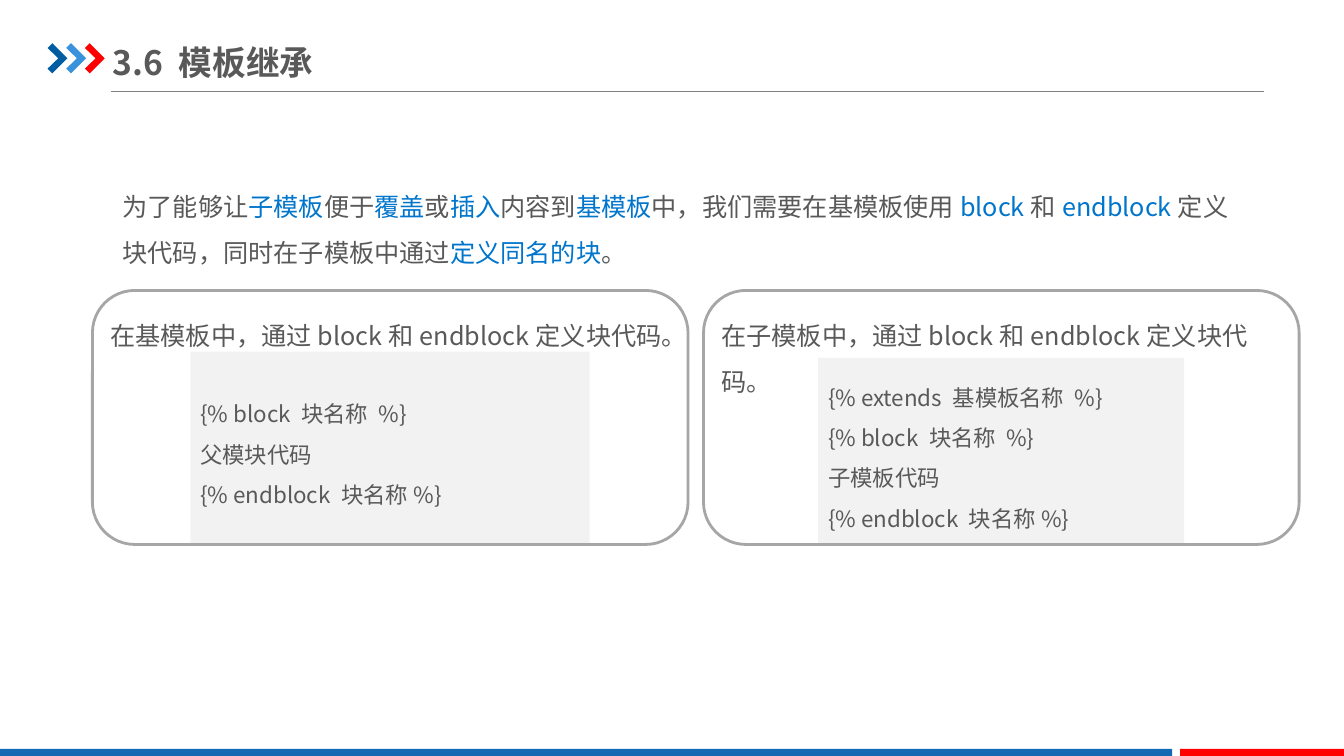
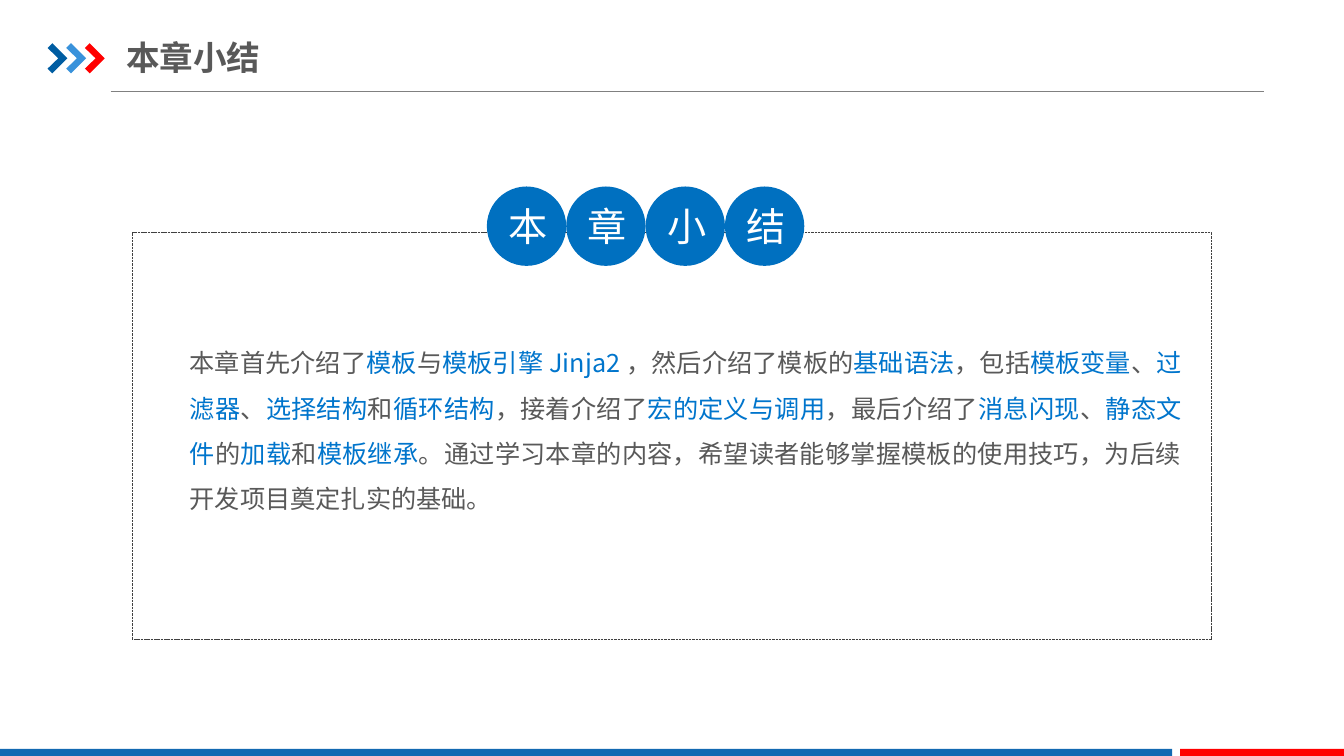
from dataclasses import dataclass

from lxml import etree
from pptx import Presentation
from pptx import util as u
from pptx.dml import color
from pptx.enum import dml, shapes, text
from pptx.oxml import ns


@dataclass(frozen=True)
class Theme:
    font: str = "Noto Sans CJK SC"
    ink: str = "595959"
    accent: str = "0075CC"
    white: str = "FFFFFF"
    rule: str = "808080"
    code_fill: str = "F2F2F2"
    card_line: str = "A6A6A6"
    frame_line: str = "404040"
    badge: str = "0070C0"
    band: str = "1369B2"
    red: str = "FF0000"
    chevrons: tuple = ("005DA2", "3992DB", "FF0000")
    title_size: int = 24
    body_size: int = 18
    code_size: int = 16
    badge_size: int = 28


def rgb(value):
    return color.RGBColor.from_string(value)


class SlideBuilder:
    def __init__(self, theme):
        self.theme = theme
        self.deck = Presentation()
        self.deck.slide_width = u.Cm(33.87)
        self.deck.slide_height = u.Cm(19.05)
        self.slide = None

    # Slide frame: rule, chevrons, footer bands, title
    def new_slide(self, title, left, top, width):
        theme = self.theme
        self.slide = self.deck.slides.add_slide(self.deck.slide_layouts[6])
        self.rule(2.79, 31.85, 2.31)
        for index, fill in enumerate(theme.chevrons):
            self.chevron(1.2 + 0.47 * index, 1.09, fill)
        self.shape("RECTANGLE", (0, 18.87, 29.54, 0.18), fill=theme.band)
        self.shape("RECTANGLE", (29.74, 18.87, 4.13, 0.18), fill=theme.red)
        self.text_box([title], (left, top, width, 1.4), theme.title_size,
                      insets=(0, 0.18), bold=True, spacing=1,
                      anchor=text.MSO_ANCHOR.MIDDLE)

    def rule(self, left, right, top):
        line = self.slide.shapes.add_connector(
            shapes.MSO_CONNECTOR.STRAIGHT,
            u.Cm(left), u.Cm(top), u.Cm(right), u.Cm(top))
        line.line.color.rgb = rgb(self.theme.rule)
        line.line.width = u.Pt(0.75)
        etree.SubElement(line._element.spPr, ns.qn("a:effectLst"))

    def chevron(self, left, top, fill):
        outline = [(0, 0.12), (0.12, 0), (0.5, 0.38),
                   (0.12, 0.76), (0, 0.64), (0.27, 0.38)]
        points = [(u.Cm(left + x), u.Cm(top + y)) for x, y in outline]
        builder = self.slide.shapes.build_freeform(*points[0])
        builder.add_line_segments(points[1:], close=True)
        self.paint(builder.convert_to_shape(), fill)

    def shape(self, kind, box, fill=None, line=None, weight=1, dash=None):
        shape = self.slide.shapes.add_shape(
            shapes.MSO_SHAPE[kind], *map(u.Cm, box))
        self.paint(shape, fill, line, weight, dash)
        return shape

    def paint(self, shape, fill=None, line=None, weight=1, dash=None):
        shape.shadow.inherit = False
        if fill:
            shape.fill.solid()
            shape.fill.fore_color.rgb = rgb(fill)
        else:
            shape.fill.background()
        if line:
            shape.line.color.rgb = rgb(line)
            shape.line.width = u.Pt(weight)
            if dash:
                shape.line.dash_style = dash
        else:
            shape.line.fill.background()

    # Text: words between asterisks take the accent colour
    def fill_text(self, frame, lines, size, ink=None, bold=False, spacing=1.5,
                  align=text.PP_ALIGN.LEFT, anchor=text.MSO_ANCHOR.MIDDLE):
        frame.word_wrap = True
        frame.vertical_anchor = anchor
        for index, line in enumerate(lines):
            para = frame.add_paragraph() if index else frame.paragraphs[0]
            para.alignment = align
            para.line_spacing = float(spacing)
            for part, words in enumerate(line.split("*")):
                span = para.add_run()
                span.text = words
                shade = self.theme.accent if part % 2 else ink or self.theme.ink
                self.style(span, size, shade, bold)

    def style(self, span, size, shade, bold):
        span.font.size = u.Pt(size)
        span.font.bold = bold
        span.font.color.rgb = rgb(shade)
        span.font.name = self.theme.font
        east_asian = etree.SubElement(span._r.get_or_add_rPr(), ns.qn("a:ea"))
        east_asian.set("typeface", self.theme.font)

    def text_box(self, lines, box, size, insets=(0.25, 0.13),
                 anchor=text.MSO_ANCHOR.TOP, **options):
        frame = self.slide.shapes.add_textbox(*map(u.Cm, box)).text_frame
        frame.margin_left = frame.margin_right = u.Cm(insets[0])
        frame.margin_top = frame.margin_bottom = u.Cm(insets[1])
        self.fill_text(frame, lines, size, anchor=anchor, **options)

    # Content parts
    def code_card(self, left, caption, caption_width, code, code_box):
        theme = self.theme
        panel = self.shape("RECTANGLE", code_box, fill=theme.code_fill)
        self.fill_text(panel.text_frame, code, theme.code_size)
        self.text_box([caption], (left + 0.2, 7.57, caption_width, 1.42),
                      theme.body_size)
        self.shape("ROUNDED_RECTANGLE", (left, 7.32, 15.01, 6.4),
                   line=theme.card_line, weight=2)

    def badges(self, letters, left, top, size):
        for index, letter in enumerate(letters):
            circle = self.shape("OVAL", (left + index * size, top, size, size),
                                fill=self.theme.badge)
            self.fill_text(circle.text_frame, [letter], self.theme.badge_size,
                           ink=self.theme.white, spacing=1,
                           align=text.PP_ALIGN.CENTER)


def inheritance_slide(page):
    page.new_slide("3.6 模板继承", 2.84, 0.86, 10.82)
    page.text_box(
        ["为了能够让*子模板*便于*覆盖*或*插入*内容到*基模板*中，"
         "我们需要在基模板使用*block*和*endblock*定义块代码，"
         "同时在子模板中通过*定义同名的块*。"],
        (2.84, 4.32, 28.47, 2.57), page.theme.body_size)
    page.code_card(
        2.33, "在基模板中，通过block和endblock定义块代码。", 14.89,
        ["{% block 块名称 %}", "父模块代码", "{% endblock 块名称%}"],
        (4.8, 8.86, 10.06, 4.83))
    page.code_card(
        17.73, "在子模板中，通过block和endblock定义块代码。", 14.27,
        ["{% extends 基模板名称 %}", "{% block 块名称 %}",
         "子模板代码", "{% endblock 块名称%}"],
        (20.62, 9.02, 9.22, 4.7))


def summary_slide(page):
    page.new_slide("本章小结", 3.18, 0.74, 15.75)
    page.shape("RECTANGLE", (3.33, 5.85, 27.2, 10.27),
               line=page.theme.frame_line, weight=0.25,
               dash=dml.MSO_LINE.SQUARE_DOT)
    page.text_box(
        ["本章首先介绍了*模板*与*模板引擎Jinja2*，然后介绍了模板的*基础语法*，"
         "包括*模板变量*、*过滤器*、*选择结构*和*循环结构*，"
         "接着介绍了*宏的定义与调用*，最后介绍了*消息闪现*、*静态文件*的"
         "*加载*和*模板继承*。通过学习本章的内容，"
         "希望读者能够掌握模板的使用技巧，为后续开发项目奠定扎实的基础。"],
        (4.78, 8.38, 25, 4.62), page.theme.body_size, insets=(0, 0),
        align=text.PP_ALIGN.JUSTIFY)
    page.badges("本章小结", 12.27, 4.7, 2)


def main():
    page = SlideBuilder(Theme())
    inheritance_slide(page)
    summary_slide(page)
    page.deck.save("out.pptx")


if __name__ == "__main__":
    main()
